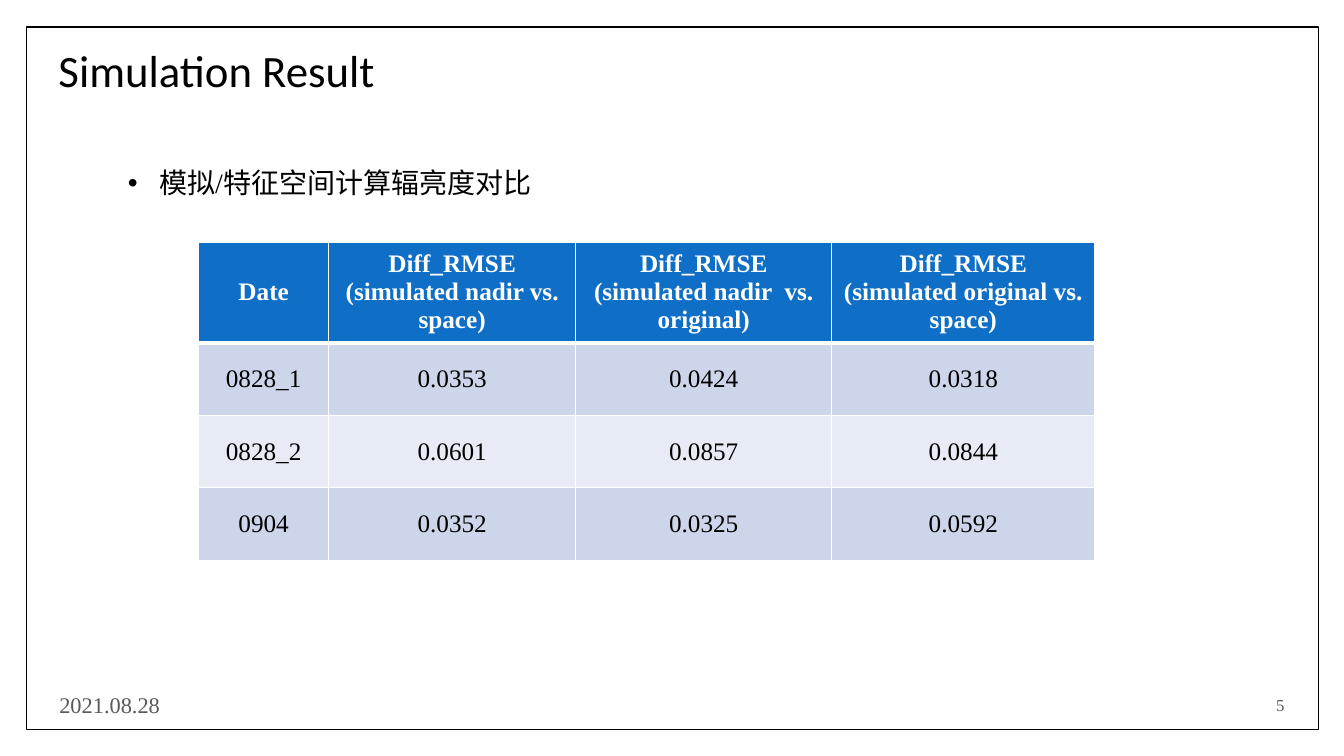
"""Build the simulation result slide with its RMSE comparison table."""
from lxml import etree
from pptx import Presentation
from pptx.dml.color import RGBColor
from pptx.enum.shapes import MSO_SHAPE
from pptx.enum.text import MSO_ANCHOR, MSO_AUTO_SIZE, PP_ALIGN
from pptx.oxml.ns import qn
from pptx.util import Inches, Pt

RECTANGLE = MSO_SHAPE.RECTANGLE
MIDDLE, TOP = MSO_ANCHOR.MIDDLE, MSO_ANCHOR.TOP
LEFT, CENTER, RIGHT = PP_ALIGN.LEFT, PP_ALIGN.CENTER, PP_ALIGN.RIGHT
GROW, FIXED = MSO_AUTO_SIZE.SHAPE_TO_FIT_TEXT, MSO_AUTO_SIZE.NONE
SERIF = "Times New Roman"
BLACK, WHITE, GRAY = "000000", "FFFFFF", "595959"
HEADER_BLUE, BAND_DARK, BAND_LIGHT = "0F6FC6", "CCD5EA", "E7EBF5"


def color(value):
    return RGBColor.from_string(value)


def write(frame, text, size, ink, align=LEFT, spacing=1.0, name=SERIF, bold=False):
    para = frame.paragraphs[0]
    para.alignment, para.line_spacing = align, spacing
    span = para.add_run()
    span.text = text
    for key, value in {"size": Pt(size), "name": name, "bold": bold}.items():
        setattr(span.font, key, value)
    span.font.color.rgb = color(ink)
    return para


deck = Presentation()
deck.slide_width, deck.slide_height = Inches(13.33), Inches(7.5)
page = deck.slides.add_slide(deck.slide_layouts[5])

title = page.shapes.title
title.left, title.top = Inches(0.48), Inches(0.43)
title.width, title.height = Inches(4.94), Inches(0.59)
title_format = {"vertical_anchor": MIDDLE, "word_wrap": True, "auto_size": GROW}
for key, value in title_format.items():
    setattr(title.text_frame, key, value)
write(title.text_frame, "Simulation Result", 32, BLACK, spacing=0.9, name="Calibri")

border = page.shapes.add_shape(
    RECTANGLE, Inches(0.26), Inches(0.27), Inches(12.82), Inches(6.97))
border.shadow.inherit = False
border.fill.solid()
border.fill.fore_color.rgb = color(WHITE)
border.line.color.rgb = color(BLACK)
border.line.width = Pt(1)
title.element.addprevious(border.element)

labels = [
    ("5", (10.51, 6.79, 2.33, 0.4), 12, GRAY, RIGHT, 1.0, MIDDLE, True, FIXED),
    ("2021.08.28", (0.49, 6.67, 1.21, 0.46), 16, GRAY, LEFT, 1.5, TOP, False, GROW),
    ("模拟/特征空间计算辐亮度对比", (1.17, 1.43, 9.34, 0.55), 20, BLACK, LEFT, 1.5,
     TOP, True, GROW),
]
for text, place, size, ink, align, spacing, anchor, wrap, fit in labels:
    box = page.shapes.add_textbox(*map(Inches, place))
    box_format = {"vertical_anchor": anchor, "word_wrap": wrap, "auto_size": fit}
    for key, value in box_format.items():
        setattr(box.text_frame, key, value)
    para = write(box.text_frame, text, size, ink, align, spacing)

bullet = para._p.get_or_add_pPr()
bullet.set("marL", str(Inches(0.31)))
bullet.set("indent", str(Inches(-0.31)))
etree.SubElement(bullet, qn("a:buFont")).set("typeface", "Arial")
etree.SubElement(bullet, qn("a:buChar")).set("char", "•")

rows = [
    ["Date", "Diff_RMSE (simulated nadir vs. space)",
     "Diff_RMSE (simulated nadir  vs. original)",
     "Diff_RMSE (simulated original vs. space)"],
    ["0828_1", "0.0353", "0.0424", "0.0318"],
    ["0828_2", "0.0601", "0.0857", "0.0844"],
    ["0904", "0.0352", "0.0325", "0.0592"],
]
column_widths = [1.29, 2.45, 2.54, 2.61]
row_heights = [1.0, 0.72, 0.72, 0.72]
row_fills = [HEADER_BLUE, BAND_DARK, BAND_LIGHT, BAND_DARK]
table = page.shapes.add_table(
    len(rows), len(column_widths), Inches(1.97), Inches(2.4),
    Inches(sum(column_widths)), Inches(sum(row_heights))).table
for column, width in zip(table.columns, column_widths):
    column.width = Inches(width)
for row_index, (row, height) in enumerate(zip(rows, row_heights)):
    table.rows[row_index].height = Inches(height)
    is_header = row_index == 0
    edges = {"a:lnL": 1, "a:lnR": 1, "a:lnT": 3 if row_index == 1 else 1,
             "a:lnB": 3 if is_header else 1}
    for column_index, text in enumerate(row):
        cell = table.cell(row_index, column_index)
        cell.vertical_anchor = MIDDLE
        write(cell.text_frame, text, 18, WHITE if is_header else BLACK, CENTER,
              bold=is_header)
        properties = cell._tc.get_or_add_tcPr()
        for tag, width in edges.items():
            edge = etree.SubElement(properties, qn(tag), w=str(Pt(width)))
            paint = etree.SubElement(edge, qn("a:solidFill"))
            etree.SubElement(paint, qn("a:srgbClr"), val=WHITE)
        cell.fill.solid()
        cell.fill.fore_color.rgb = color(row_fills[row_index])

deck.save("out.pptx")
